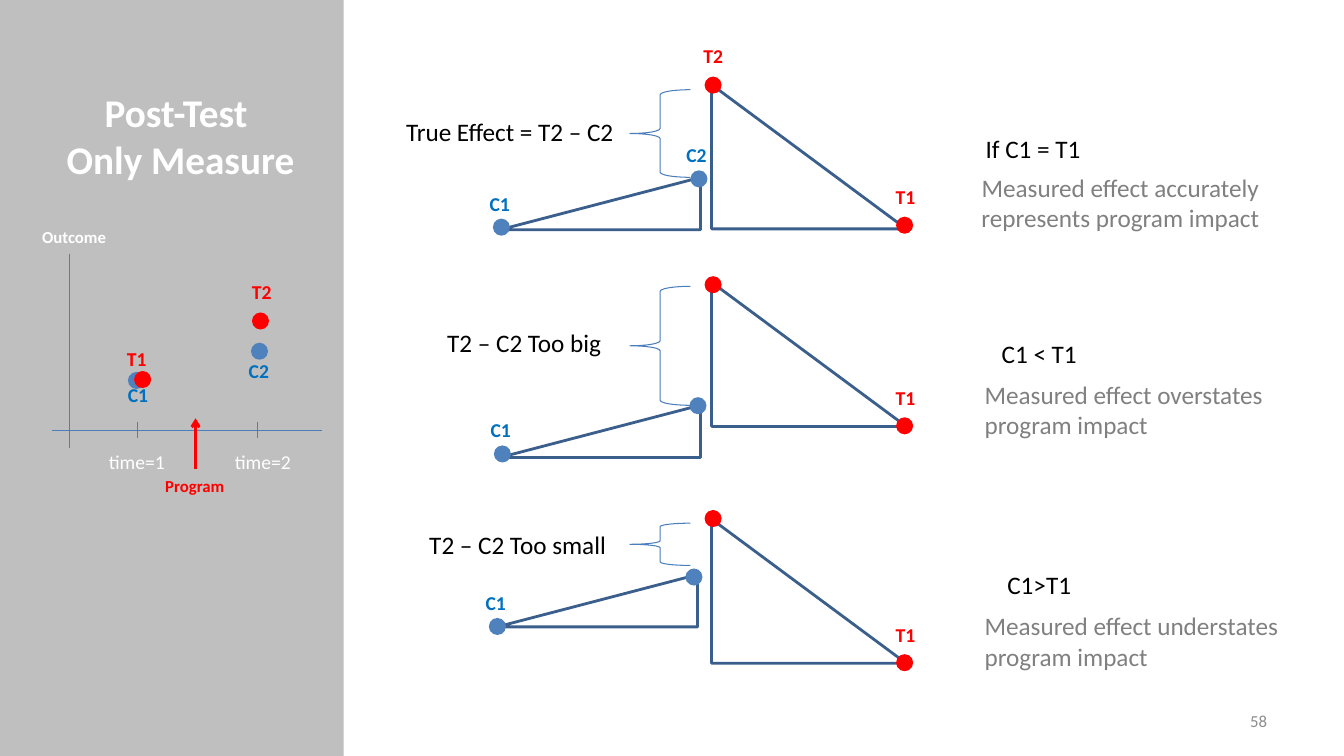
from dataclasses import dataclass

from lxml.etree import SubElement
from pptx import Presentation
from pptx.dml.color import RGBColor
from pptx.enum.shapes import MSO_CONNECTOR, MSO_SHAPE
from pptx.enum.text import MSO_ANCHOR, PP_ALIGN
from pptx.oxml.ns import qn
from pptx.util import Pt

PANEL_GREY = RGBColor(0xBF, 0xBF, 0xBF)
NUMBER_GREY = RGBColor(0x8C, 0x8C, 0x8C)
NOTE_GREY = RGBColor(0x80, 0x80, 0x80)
BLACK = RGBColor(0, 0, 0)
WHITE = RGBColor(0xFF, 0xFF, 0xFF)
RED = RGBColor(0xFF, 0, 0)
DOT_BLUE = RGBColor(0x4F, 0x81, 0xBD)
LABEL_BLUE = RGBColor(0, 0x70, 0xC0)
LINE_BLUE = RGBColor(0x4B, 0x7E, 0xBC)
TRIANGLE_BLUE = RGBColor(0x3A, 0x5F, 0x8C)

DOT_SIZE = 12.2
TREATMENT_LEFT = 508.3
TREATMENT_DOTS = (503.3, 640.1)


@dataclass
class Comparison:
    """Heights on the page of one pair of triangles."""
    treatment_top: float
    t2_top: float
    t1_top: float
    control_left: float
    control_top: float
    c2_dot: tuple
    c1_dot: tuple
    brace_top: float
    brace_height: float


COMPARISONS = [
    Comparison(60.5, 54.7, 154.8, 357.1, 126.7, (493.2, 121.7), (352.1, 156.2), 64.1, 62.6),
    Comparison(201.6, 197.3, 298.1, 357.1, 289.4, (492.5, 283.7), (352.8, 318.2), 204.5, 85),
    Comparison(370.8, 364.3, 467.3, 355, 410.4, (489.6, 406.1), (349.2, 441.4), 373.7, 30.2),
]


def add_text(page, lines, left, top, width, height, size, color,
             bold=False, align=PP_ALIGN.LEFT, wrap=False):
    box = page.shapes.add_textbox(Pt(left), Pt(top), Pt(width), Pt(height))
    box.text_frame.word_wrap = wrap
    para = box.text_frame.paragraphs[0]
    para.alignment = align
    for index, line in enumerate(lines.split("\n")):
        if index:
            para.add_line_break()
        span = para.add_run()
        span.text = line
        span.font.name = "Calibri"
        span.font.size = Pt(size)
        span.font.bold = bold
        span.font.color.rgb = color
    return box


def add_label(page, words, left, top):
    """Name a dot: red for treatment, blue for control."""
    color = RED if words.startswith("T") else LABEL_BLUE
    add_text(page, words, left, top, 29, 24.2, 14, color, bold=True)


def add_filled(page, preset, left, top, width, height, color):
    shape = page.shapes.add_shape(preset, Pt(left), Pt(top), Pt(width), Pt(height))
    shape.shadow.inherit = False
    shape.fill.solid()
    shape.fill.fore_color.rgb = color
    shape.line.fill.background()


def add_dot(page, left, top, color):
    add_filled(page, MSO_SHAPE.OVAL, left, top, DOT_SIZE, DOT_SIZE, color)


def add_outline(page, preset, left, top, width, height, color, weight, mirrored=False):
    shape = page.shapes.add_shape(preset, Pt(left), Pt(top), Pt(width), Pt(height))
    shape.shadow.inherit = False
    shape.fill.background()
    shape.line.color.rgb = color
    shape.line.width = Pt(weight)
    if mirrored:
        shape._element.spPr.xfrm.set("flipH", "1")


def add_line(page, start, end, color=LINE_BLUE, weight=0.75, arrow=False):
    line = page.shapes.add_connector(
        MSO_CONNECTOR.STRAIGHT, *(Pt(value) for value in (*start, *end)))
    line.line.color.rgb = color
    line.line.width = Pt(weight)
    if arrow:
        SubElement(line.line._get_or_add_ln(), qn("a:tailEnd"), type="arrow")
    SubElement(line._element.spPr, qn("a:effectLst"))


def add_comparison(page, row):
    add_outline(page, MSO_SHAPE.RIGHT_TRIANGLE, TREATMENT_LEFT, row.treatment_top,
                139, 103, TRIANGLE_BLUE, 2)
    add_outline(page, MSO_SHAPE.RIGHT_TRIANGLE, row.control_left, row.control_top,
                143.3, 37.4, TRIANGLE_BLUE, 2, mirrored=True)
    add_outline(page, MSO_SHAPE.RIGHT_BRACE, 450, row.brace_top,
                43.2, row.brace_height, LINE_BLUE, 0.75, mirrored=True)
    for left, top in zip(TREATMENT_DOTS, (row.t2_top, row.t1_top)):
        add_dot(page, left, top, RED)
    for left, top in (row.c2_dot, row.c1_dot):
        add_dot(page, left, top, DOT_BLUE)
    add_label(page, "T1", 632.7, row.t1_top - 26)
    add_label(page, "C1", row.c1_dot[0] - 9.5, row.c1_dot[1] - 23)


def add_panel(page):
    add_filled(page, MSO_SHAPE.RECTANGLE, 0, 0, 245.5, 540, PANEL_GREY)
    add_text(page, "Post-Test \nOnly Measure", -19.4, 59.8, 296.6, 99.4, 28, WHITE,
             bold=True, align=PP_ALIGN.CENTER, wrap=True)


def add_outcome_graph(page):
    add_text(page, "Outcome", 23, 158.4, 60.5, 21.6, 12, WHITE, bold=True)
    add_line(page, (49.7, 181.4), (49.7, 319.7))
    add_line(page, (37.4, 307.4), (229.7, 307.4))
    for words, tick, left in (("time=1", 97.9, 70.6), ("time=2", 183.6, 160.6)):
        add_line(page, (tick, 301.7), (tick, 313.2))
        add_text(page, words, left, 318.2, 56.9, 24.2, 14, WHITE)
    add_line(page, (139.7, 334.8), (139.7, 298.8), RED, 2, arrow=True)
    add_text(page, "Program", 110.9, 336.2, 57.6, 21.6, 12, RED, bold=True)
    for left, top, color in ((91.4, 265.7, DOT_BLUE), (179.3, 244.8, DOT_BLUE),
                             (95.8, 265, RED), (180, 223.2, RED)):
        add_dot(page, left, top, color)
    for words, left, top in (("T2", 172.8, 196.6), ("T1", 83.5, 244.1),
                             ("C1", 84.2, 270), ("C2", 170.6, 252.7)):
        add_label(page, words, left, top)


def add_findings(page):
    """Effect captions left of the braces, conditions and notes on the right."""
    center, left_aligned = PP_ALIGN.CENTER, PP_ALIGN.LEFT
    for words, left, top, width, align in (
            ("True Effect = T2 – C2", 283, 79.9, 223.2, left_aligned),
            ("T2 – C2 Too big", 304.6, 230.4, 139.7, center),
            ("T2 – C2 Too small", 294.5, 374.4, 150.5, center),
            ("If C1 = T1", 696.2, 91.4, 83.5, center),
            ("C1 < T1", 707.8, 238.3, 69.1, center),
            ("C1>T1", 712.1, 403.2, 60.5, center)):
        add_text(page, words, left, top, width, 28.8, 18, BLACK, align=align)
    for words, left, top, align in (
            ("Measured effect accurately represents program impact", 688.3, 119.5, center),
            ("Measured effect overstates program impact", 696.2, 267.1, left_aligned),
            ("Measured effect understates program impact", 696.2, 432.7, left_aligned)):
        add_text(page, words, left, top, 223.9, 51.1, 18, NOTE_GREY, align=align, wrap=True)


def main():
    deck = Presentation()
    deck.slide_width, deck.slide_height = Pt(960), Pt(540)
    page = deck.slides.add_slide(deck.slide_layouts[6])
    add_panel(page)
    add_outcome_graph(page)
    for row in COMPARISONS:
        add_comparison(page, row)
    add_label(page, "T2", 495.4, 28.1)
    add_label(page, "C2", 483.1, 98.6)
    add_findings(page)
    number = add_text(page, "58", 688.3, 500.4, 223.9, 28.8, 12, NUMBER_GREY,
                      align=PP_ALIGN.RIGHT, wrap=True)
    number.text_frame.vertical_anchor = MSO_ANCHOR.MIDDLE
    deck.save("out.pptx")


if __name__ == "__main__":
    main()
